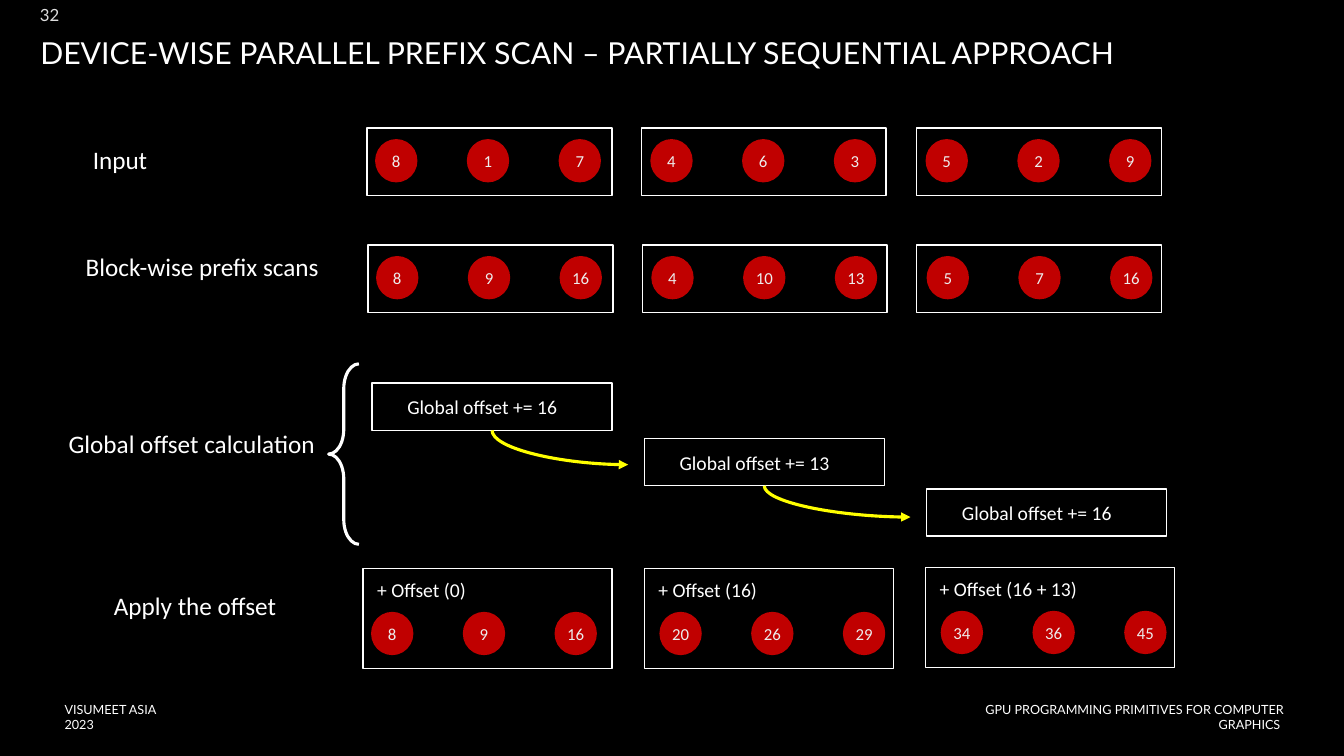
from lxml import etree
from pptx import Presentation
from pptx.dml.color import RGBColor
from pptx.enum import shapes, text
from pptx.oxml import ns
from pptx.util import Inches, Pt

COLORS = {
    "background": "000000",
    "white": "FFFFFF",
    "number": "DDDDDD",
    "disc": "C00000",
    "disc_text": "EDEDED",
    "arrow": "FFFF00",
}
DISC_W, DISC_H, DISC_STEP = 0.42, 0.43, 0.91
STEP_W, STEP_H = 2.38, 0.47


def color(name):
    return RGBColor.from_string(COLORS[name])


def write(sp, content, size, font="Calibri", ink="white",
          align=text.PP_ALIGN.LEFT, anchor=text.MSO_ANCHOR.TOP,
          inset=0.05, wrap=True):
    tf = sp.text_frame
    tf.word_wrap = wrap
    tf.vertical_anchor = anchor
    tf.margin_left = tf.margin_right = Inches(inset)
    tf.margin_top = tf.margin_bottom = Inches(inset)
    p = tf.paragraphs[0]
    p.text = content
    p.alignment = align
    p.font.size = Pt(size)
    p.font.name = font
    p.font.color.rgb = color(ink)
    return p


def add_text(s, content, x, y, w, h, size, **style):
    sp = s.shapes.add_textbox(Inches(x), Inches(y), Inches(w), Inches(h))
    return write(sp, content, size, **style)


def add_heading(s, content, x, y, w, h, size, **style):
    """Add vertically centred Lato text, as used for the title and margins."""
    return add_text(s, content, x, y, w, h, size, font="Lato",
                    anchor=text.MSO_ANCHOR.MIDDLE, **style)


def add_outline(s, x, y, w, h, kind=shapes.MSO_SHAPE.RECTANGLE, width=1):
    sp = s.shapes.add_shape(kind, Inches(x), Inches(y), Inches(w), Inches(h))
    sp.shadow.inherit = False
    sp.fill.background()
    sp.line.color.rgb = color("white")
    sp.line.width = Pt(width)
    return sp


def add_discs(s, x, y, values):
    """Add a row of evenly spaced number discs."""
    for i, value in enumerate(values):
        sp = s.shapes.add_shape(
            shapes.MSO_SHAPE.OVAL, Inches(x + i * DISC_STEP), Inches(y),
            Inches(DISC_W), Inches(DISC_H))
        sp.shadow.inherit = False
        sp.fill.solid()
        sp.fill.fore_color.rgb = color("disc")
        sp.line.fill.background()
        write(sp, str(value), 12, ink="disc_text", wrap=False,
              align=text.PP_ALIGN.CENTER, anchor=text.MSO_ANCHOR.MIDDLE)


def add_block_row(s, xs, y, values):
    """Add three outlined blocks with one continuous row of discs."""
    add_discs(s, xs[0] + 0.08, y + 0.11, values)
    for x in xs:
        add_outline(s, x, y, 2.43, 0.67)


def add_step(s, x, y, amount):
    add_text(s, f"Global offset += {amount}", x + 0.3, y + 0.07, 1.85, 0.34, 14)
    add_outline(s, x, y, STEP_W, STEP_H)


def add_offset_block(s, x, y, offset, disc_x, values):
    add_outline(s, x, y, 2.47, 0.99)
    add_text(s, f"+ Offset ({offset})", x + 0.09, y + 0.04, 1.85, 0.34, 14)
    add_discs(s, disc_x, y + 0.43, values)


def add_curved_arrow(s, x1, y1, x2, y2):
    """Add a quarter-curve arrow that leaves downwards and arrives rightwards."""
    mid_x, mid_y = (x1 + x2) / 2, (y1 + y2) / 2
    half_w, half_h = (y2 - y1) / 2, (x2 - x1) / 2
    c = s.shapes.add_connector(
        shapes.MSO_CONNECTOR.CURVE,
        Inches(mid_x - half_w), Inches(mid_y - half_h),
        Inches(mid_x + half_w), Inches(mid_y + half_h))
    c.line.color.rgb = color("arrow")
    c.line.width = Pt(2.25)
    props = c._element.spPr
    xfrm = props.find(ns.qn("a:xfrm"))
    xfrm.set("rot", "16200000")
    xfrm.set("flipH", "1")
    props.find(ns.qn("a:prstGeom")).set("prst", "curvedConnector2")
    etree.SubElement(props.find(ns.qn("a:ln")), ns.qn("a:tailEnd"), type="triangle")
    etree.SubElement(props, ns.qn("a:effectLst"))


def main():
    prs = Presentation()
    prs.slide_width, prs.slide_height = Inches(13.33), Inches(7.5)
    s = prs.slides.add_slide(prs.slide_layouts[6])
    s.background.fill.solid()
    s.background.fill.fore_color.rgb = color("background")

    right = text.PP_ALIGN.RIGHT
    add_heading(s, "VISUMEET ASIA 2023", 0.64, 7.04, 1.08, 0.15, 9, inset=0)
    add_heading(s, "GPU PROGRAMMING PRIMITIVES FOR COMPUTER GRAPHICS ",
                9.57, 7.04, 3.16, 0.15, 9, inset=0, align=right)
    title = add_heading(
        s, "DEVICE-WISE PARALLEL PREFIX SCAN – PARTIALLY SEQUENTIAL APPROACH",
        0.35, 0.33, 12.7, 0.42, 21.6)
    title.line_spacing = 0.9
    add_heading(s, "32", 0.39, 0.05, 0.2, 0.2, 12, ink="number",
                inset=0, wrap=False, align=right)

    for label, x, y in (
        ("Input", 0.87, 1.38),
        ("Block-wise prefix scans", 0.8, 2.44),
        ("Global offset calculation", 0.63, 4.2),
        ("Apply the offset", 1.08, 5.81),
    ):
        add_text(s, label, x, y, 2.65, 0.4, 18)

    add_block_row(s, (3.64, 6.36, 9.09), 1.27, (8, 1, 7, 4, 6, 3, 5, 2, 9))
    add_block_row(s, (3.65, 6.37, 9.09), 2.43, (8, 9, 16, 4, 10, 13, 5, 7, 16))

    brace = add_outline(s, 3.26, 3.61, 0.3, 1.79, shapes.MSO_SHAPE.LEFT_BRACE, 2.25)
    brace.adjustments[0] = 0.82
    brace.adjustments[1] = 0.5

    steps = ((3.69, 3.8, 16), (6.39, 4.35, 13), (9.19, 4.85, 16))
    for x, y, amount in steps:
        add_step(s, x, y, amount)
    for (x, y, _), (end_x, end_y) in zip(steps, ((6.23, 4.61), (9.03, 5.13))):
        add_curved_arrow(s, x + STEP_W / 2, y + STEP_H, end_x, end_y)

    for x, y, offset, disc_x, values in (
        (3.6, 5.64, "0", 3.68, (8, 9, 16)),
        (6.39, 5.64, "16", 6.54, (20, 26, 29)),
        (9.18, 5.63, "16 + 13", 9.33, (34, 36, 45)),
    ):
        add_offset_block(s, x, y, offset, disc_x, values)

    prs.save("out.pptx")


if __name__ == "__main__":
    main()
